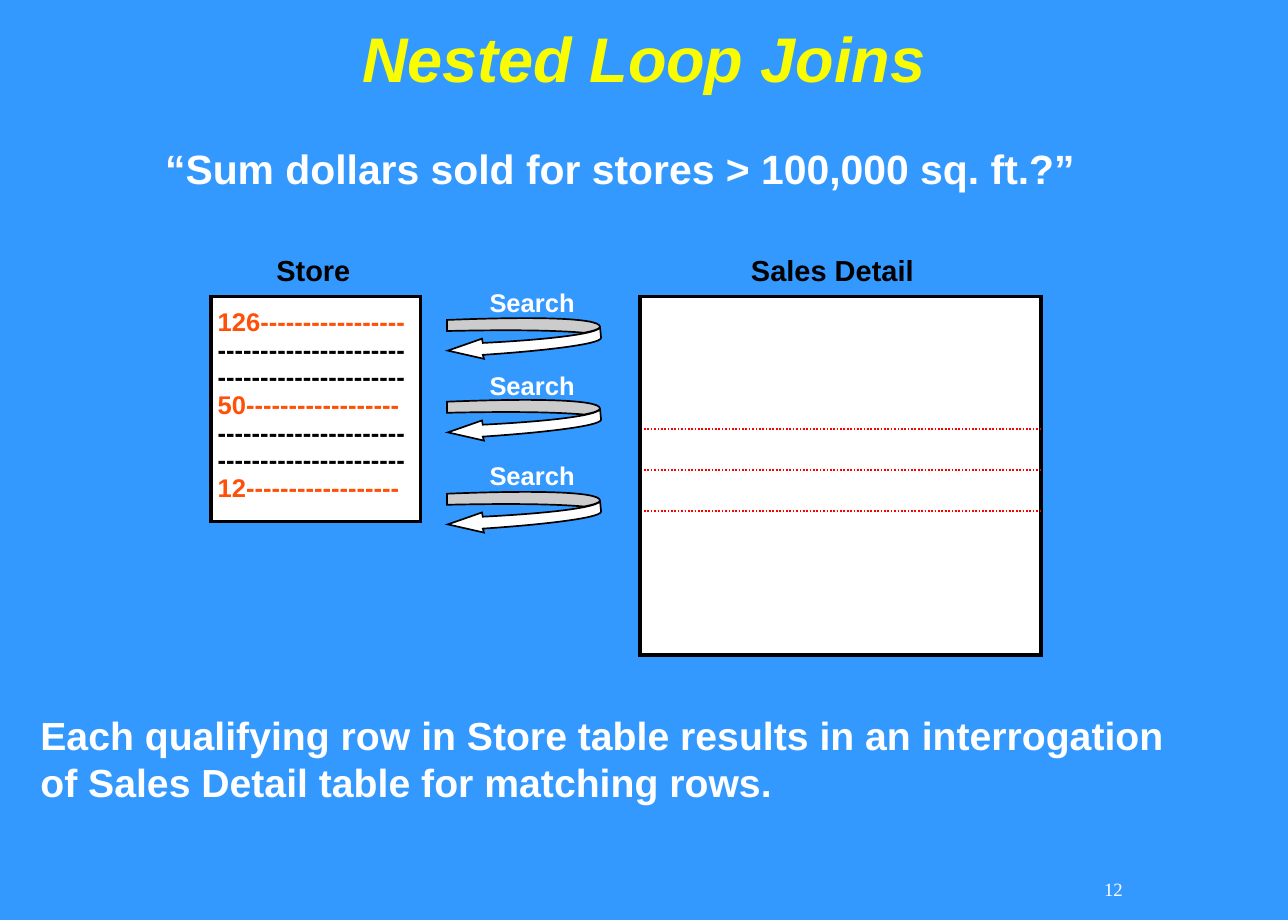
from dataclasses import dataclass

import lxml.etree
import pptx
import pptx.dml.color
import pptx.enum.dml
import pptx.enum.shapes
import pptx.enum.text
import pptx.oxml.ns
import pptx.util

Pt = pptx.util.Pt
qn = pptx.oxml.ns.qn
ALIGN = pptx.enum.text.PP_ALIGN
ANCHOR = pptx.enum.text.MSO_ANCHOR

COLORS = {
    "blue": "3399FF", "yellow": "FAFD00", "white": "FFFFFF", "black": "000000",
    "orange": "FF5008", "red": "FF0000",
}
WIDE_INSETS = (7.2, 3.6)
TIGHT_INSETS = (4.5, 2.25)


@dataclass
class Label:
    area: tuple[float, float, float, float]
    paras: list[list[tuple[str, str]]]  # lines of each paragraph, with their colours
    size: float
    align: ALIGN = ALIGN.LEFT
    anchor: ANCHOR = ANCHOR.MIDDLE
    insets: tuple[float, float] = TIGHT_INSETS
    wrap: bool = False
    spacing: float = 1.0
    before: float = 0
    font: str = "Arial"
    bold: bool = True
    italic: bool = False


@dataclass
class Outline:
    start: tuple[float, float]
    segments: list[list[tuple[float, float]]]  # one point: line, three: Bezier curve
    shade: str


def rgb(name: str) -> pptx.dml.color.RGBColor:
    return pptx.dml.color.RGBColor.from_string(COLORS[name])


def set_all(target: object, values: dict) -> None:
    for name, value in values.items():
        setattr(target, name, value)


def paint(shape, line_width: float) -> None:
    shape.shadow.inherit = False
    shape.fill.solid()
    shape.fill.fore_color.rgb = rgb("white")
    shape.line.color.rgb = rgb("black")
    shape.line.width = Pt(line_width)
    outline = shape._element.spPr.find(qn("a:ln"))
    lxml.etree.SubElement(outline, qn("a:miter"), lim="800000")


def draw_label(page, label: Label) -> None:
    box = page.shapes.add_textbox(*map(Pt, label.area))
    side, top = map(Pt, label.insets)
    frame = box.text_frame
    set_all(frame, {
        "margin_left": side, "margin_right": side, "margin_top": top,
        "margin_bottom": top, "word_wrap": label.wrap, "vertical_anchor": label.anchor,
    })
    for index, lines in enumerate(label.paras):
        para = frame.add_paragraph() if index else frame.paragraphs[0]
        set_all(para, {"alignment": label.align, "line_spacing": label.spacing,
                       "space_before": Pt(label.before)})
        for number, (wording, color) in enumerate(lines):
            if number:
                para.add_line_break()
            span = para.add_run()
            span.text = wording
            set_all(span.font, {"name": label.font, "size": Pt(label.size),
                                "bold": label.bold, "italic": label.italic})
            span.font.color.rgb = rgb(color)


def draw_table_frame(page, area: tuple[float, float, float, float]) -> None:
    frame = page.shapes.add_shape(pptx.enum.shapes.MSO_SHAPE.RECTANGLE, *map(Pt, area))
    paint(frame, 2)


def draw_curved(page, outlines: list[Outline], left: float, top: float) -> None:
    def place(point: tuple[float, float]) -> tuple[int, int]:
        return Pt(left + point[0]), Pt(top + point[1])

    builder = page.shapes.build_freeform(*place(outlines[0].start))
    for index, outline in enumerate(outlines):
        if index:
            builder.move_to(*place(outline.start))
        points = [place(point) for segment in outline.segments for point in segment]
        builder.add_line_segments(points, close=True)
    shape = builder.convert_to_shape()
    paint(shape, 1)

    # Give each outline its own shaded path and bend the three-point segments
    whole = next(shape._element.iter(qn("a:path")))
    nodes = iter(list(whole))
    for outline in outlines:
        part = lxml.etree.SubElement(whole.getparent(), qn("a:path"), w=whole.get("w"),
                                     h=whole.get("h"), fill=outline.shade)
        part.append(next(nodes))
        for segment in outline.segments:
            steps = [next(nodes) for _ in segment]
            if len(steps) == 1:
                part.append(steps[0])
                continue
            curve = lxml.etree.SubElement(part, qn("a:cubicBezTo"))
            for step in steps:
                curve.append(step[0])
        part.append(next(nodes))
    whole.getparent().remove(whole)


def draw_match(page, left: float, right: float, y: float) -> None:
    match = page.shapes.add_connector(
        pptx.enum.shapes.MSO_CONNECTOR.STRAIGHT, Pt(left), Pt(y), Pt(right), Pt(y))
    match.line.color.rgb = rgb("red")
    match.line.width = Pt(1)
    match.line.dash_style = pptx.enum.dml.MSO_LINE.ROUND_DOT
    lxml.etree.SubElement(match._element.spPr, qn("a:effectLst"))


# Wording
DASHES = ("-" * 22, "black")
HEADINGS = [
    Label((17, -30, 722, 90), [[("Nested Loop Joins", "yellow")]], 37, ALIGN.CENTER,
          ANCHOR.BOTTOM, WIDE_INSETS, True, 0.9, italic=True),
    Label((78.5, 84.2, 571, 49), [[("“Sum dollars sold for stores > 100,000 sq. ft.?”", "white")]],
          24, ALIGN.CENTER, ANCHOR.TOP, WIDE_INSETS, True, 0.9, 9),
    Label((16.6, 414, 694, 62),
          [[("Each qualifying row in Store table results in an interrogation "
             "of Sales Detail table for matching rows.", "white")]],
          23, ALIGN.LEFT, ANCHOR.TOP, WIDE_INSETS, True),
    Label((582, 503.6, 84.2, 36), [[("12", "white")]], 11, ALIGN.RIGHT,
          insets=WIDE_INSETS, font="Times New Roman", bold=False),
]
TABLE_LABELS = [
    Label((157.7, 144, 56, 28.8), [[("Store", "black")]], 17),
    Label((436.3, 144, 108, 28.8), [[("Sales Detail", "black")]], 17),
    Label((123.3, 174, 124, 129),
          [[("126" + "-" * 17, "orange")],
           [DASHES, DASHES, ("50" + "-" * 18, "orange")],
           [DASHES, DASHES, ("12" + "-" * 18, "orange")]], 15, spacing=0.9),
]

# Search arrow: near side of the loop with the head, then the far side
SEARCH_ARROW = [
    Outline((89.8, 6), [[(90.4, 12.5)],
                        [(90.4, 16.5), (51.5, 20.5), (21, 22.5)],
                        [(21.7, 24.8)], [(0.5, 20)], [(20.5, 13)], [(21, 15.5)],
                        [(60.5, 13.5), (89.8, 10), (89.8, 6)]], "norm"),
    Outline((0, 2), [[(48.7, 0), (89.8, 0.5), (89.8, 6)],
                     [(89.8, 7.2), (86, 8.5), (80.4, 9.5)],
                     [(60.5, 7.8), (31, 7.8), (0, 8.5)]], "darkenLess"),
]
SEARCH_TOPS = [(164.2, 185.8), (213.1, 233.8), (265.7, 287.8)]  # label, arrow


def main() -> None:
    deck = pptx.Presentation()
    deck.slide_width, deck.slide_height = Pt(756), Pt(540)
    page = deck.slides.add_slide(deck.slide_layouts[6])
    page.background.fill.solid()
    page.background.fill.fore_color.rgb = rgb("blue")

    # Tables and text
    for area in [(123.8, 174.2, 123.2, 131.8), (375.8, 174.2, 235.4, 210.2)]:
        draw_table_frame(page, area)
    for label in HEADINGS + TABLE_LABELS:
        draw_label(page, label)

    # Searches
    for label_top, arrow_top in SEARCH_TOPS:
        draw_curved(page, SEARCH_ARROW, 262.4, arrow_top)
        draw_label(page, Label((282.8, label_top, 62, 26.6), [[("Search", "white")]], 15))

    # Matching rows
    for row in range(3):
        draw_match(page, 378, 612, 252 + 24 * row)

    deck.save("out.pptx")


if __name__ == "__main__":
    main()
